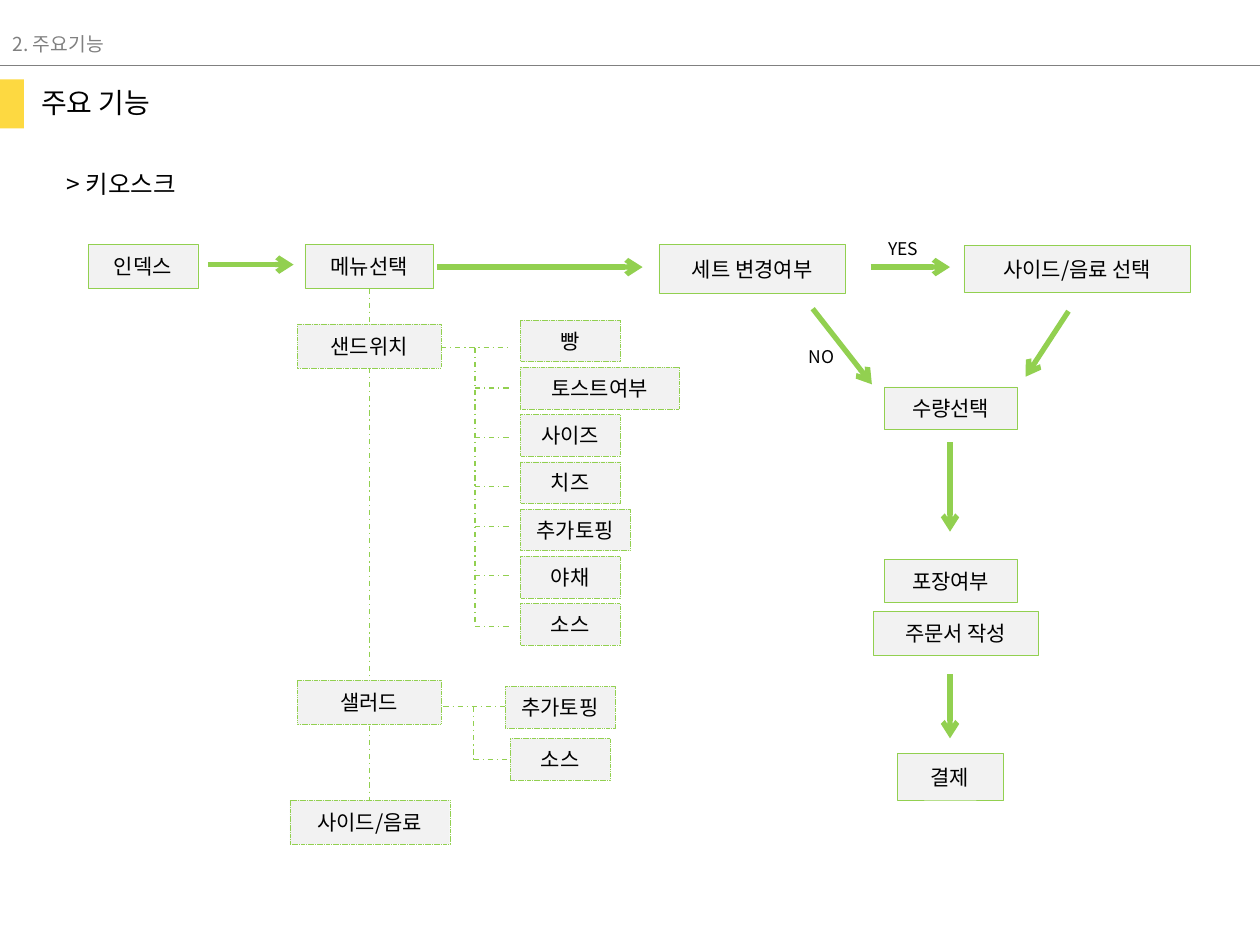
from dataclasses import dataclass
from lxml.etree import SubElement
from pptx import Presentation
from pptx.dml.color import RGBColor
from pptx.enum.dml import MSO_LINE
from pptx.enum.shapes import MSO_CONNECTOR, MSO_SHAPE
from pptx.enum.text import MSO_ANCHOR, MSO_AUTO_SIZE, PP_ALIGN
from pptx.oxml.ns import qn
from pptx.util import Inches, Pt

GREEN = RGBColor(0x92, 0xD0, 0x50)
PALE = RGBColor(0xF2, 0xF2, 0xF2)
YELLOW = RGBColor(0xFD, 0xD9, 0x41)
GRAY = RGBColor(0x80, 0x80, 0x80)
BLACK = RGBColor(0, 0, 0)
FONT = "Noto Sans CJK KR"
COLUMNS, ROWS = 100, 75
CELL = Inches(10) // COLUMNS


def cells(count):
    return round(count * CELL)


def add_text(paragraph, text, size, color=BLACK):
    run = paragraph.add_run()
    run.text = text
    run.font.size = Pt(size)
    run.font.name = FONT
    run.font.color.rgb = color
    SubElement(run.font._element, qn("a:ea"), typeface=FONT)


@dataclass
class Region:
    slide: object
    left: float
    top: float

    def place(self, left, top, width, height):
        return (cells(self.left + left), cells(self.top + top),
                cells(width), cells(height))

    def block(self, left, top, width, height, fill):
        shape = self.slide.shapes.add_shape(
            MSO_SHAPE.RECTANGLE, *self.place(left, top, width, height))
        shape.shadow.inherit = False
        shape.fill.solid()
        shape.fill.fore_color.rgb = fill
        shape.line.fill.background()
        return shape

    def step(self, text, left, top, width, height=3.5, dashed=False):
        shape = self.block(left, top, width, height, PALE)
        shape.line.color.rgb = GREEN
        shape.line.width = Pt(0.25)
        if dashed:
            shape.line.dash_style = MSO_LINE.SQUARE_DOT
        frame = shape.text_frame
        frame.vertical_anchor = MSO_ANCHOR.MIDDLE
        frame.margin_left = frame.margin_right = Inches(0.1)
        frame.margin_top = frame.margin_bottom = Inches(0.1)
        paragraph = frame.paragraphs[0]
        paragraph.alignment = PP_ALIGN.CENTER
        add_text(paragraph, text, 12)

    def label(self, text, left, top, width, height, size, color=BLACK):
        box = self.slide.shapes.add_textbox(*self.place(left, top, width, height))
        frame = box.text_frame
        frame.word_wrap = True
        frame.auto_size = MSO_AUTO_SIZE.SHAPE_TO_FIT_TEXT
        add_text(frame.paragraphs[0], text, size, color)

    def line(self, x1, y1, x2, y2, width=0.75, color=GREEN):
        connector = self.slide.shapes.add_connector(
            MSO_CONNECTOR.STRAIGHT, *self.place(x1, y1, 0, 0)[:2],
            *self.place(x2, y2, 0, 0)[:2])
        connector.line.color.rgb = color
        connector.line.width = Pt(width)
        SubElement(connector._element.spPr, qn("a:effectLst"))
        return connector

    def arrow(self, x1, y1, x2, y2):
        connector = self.line(x1, y1, x2, y2, 3)
        SubElement(connector.line._get_or_add_ln(), qn("a:tailEnd"), type="arrow")

    def link(self, x1, y1, x2, y2):
        self.line(x1, y1, x2, y2).line.dash_style = MSO_LINE.DASH_DOT

    def branches(self, start, rail, end, levels):
        self.link(start, levels[0], end, levels[0])
        self.link(rail, levels[0], rail, levels[-1])
        for level in levels[1:]:
            self.link(rail, level, end, level)


def draw_header(region):
    region.line(0, 5.2, COLUMNS, 5.2, 1, GRAY)
    region.label("2. 주요기능", 0, 2.1, 21.6, 2.9, 11, GRAY)
    region.block(-0.1, 6.3, 2, 3.9, YELLOW)
    region.label("주요 기능", 2.3, 6.3, 17.2, 3.7, 16)
    region.label("> 키오스크", 4.3, 12.9, 15, 3.4, 14)


def draw_order_flow(region):
    region.step("인덱스", 0, 1, 8.7)
    region.step("메뉴선택", 17.2, 1, 10.2)
    region.step("세트 변경여부", 45.3, 1, 14.8, 3.9)
    region.step("사이드/음료 선택", 69.5, 1.1, 18, 3.7)
    region.label("YES", 62.5, 0, 4.7, 2.7, 10)
    for start, end, level in ((9.5, 16.3, 2.6), (27.7, 44, 2.8), (62.1, 68.4, 2.8)):
        region.arrow(start, level, end, level)


def draw_menu_tree(region):
    trunk = 6.3
    for start, end in ((0, 2.8), (6.3, 31.1), (34.7, 40.6)):
        region.link(trunk, start, trunk, end)
    region.step("샌드위치", 0.6, 2.8, 11.4, dashed=True)
    region.step("샐러드", 0.6, 31.1, 11.4, dashed=True)
    region.step("사이드/음료", 0, 40.6, 12.7, dashed=True)
    options = (("빵", 7.9), ("토스트여부", 12.6), ("사이즈", 7.9), ("치즈", 7.9),
               ("추가토핑", 8.7), ("야채", 7.9), ("소스", 7.9))
    for index, (text, width) in enumerate(options):
        region.step(text, 18.3, 2.5 + 3.75 * index, width, 3.3, True)
    region.branches(12, 14.7, 17.5, (4.7, 7.9, 11.8, 15.7, 18.9, 22.8, 26.8))
    region.step("추가토핑", 17.1, 31.6, 8.7, 3.3, True)
    region.step("소스", 17.5, 35.7, 7.9, 3.3, True)
    region.branches(12.2, 14.6, 17.3, (33.2, 37.4))


def draw_checkout(region):
    region.label("NO", 0, 2.5, 4.7, 2.7, 10)
    region.arrow(1.3, 0, 6, 6)
    region.arrow(21.6, 0.2, 18.2, 5.4)
    region.step("수량선택", 7, 6.2, 10.5, 3.4)
    region.step("포장여부", 7, 19.9, 10.5, 3.4)
    region.step("주문서 작성", 6.1, 24, 13.1)
    region.step("결제", 8, 35.3, 8.4, 3.7)
    for start, end in ((10.6, 17.7), (29, 34.1)):
        region.arrow(12.2, start, 12.2, end)


presentation = Presentation()
presentation.slide_width = cells(COLUMNS)
presentation.slide_height = cells(ROWS)
slide = presentation.slides.add_slide(presentation.slide_layouts[6])
draw_header(Region(slide, 0, 0))
draw_order_flow(Region(slide, 7, 18.4))
draw_menu_tree(Region(slide, 23, 22.9))
draw_checkout(Region(slide, 63.2, 24.5))
presentation.save("out.pptx")
